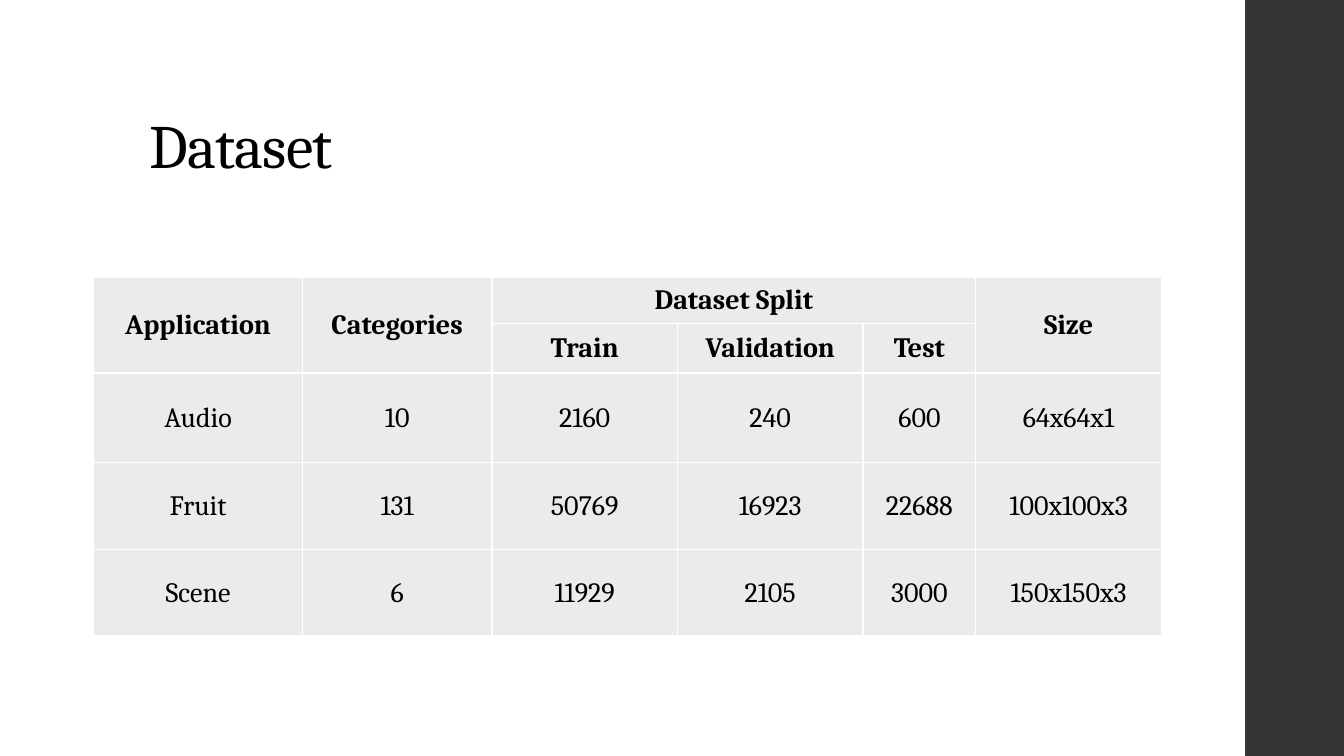
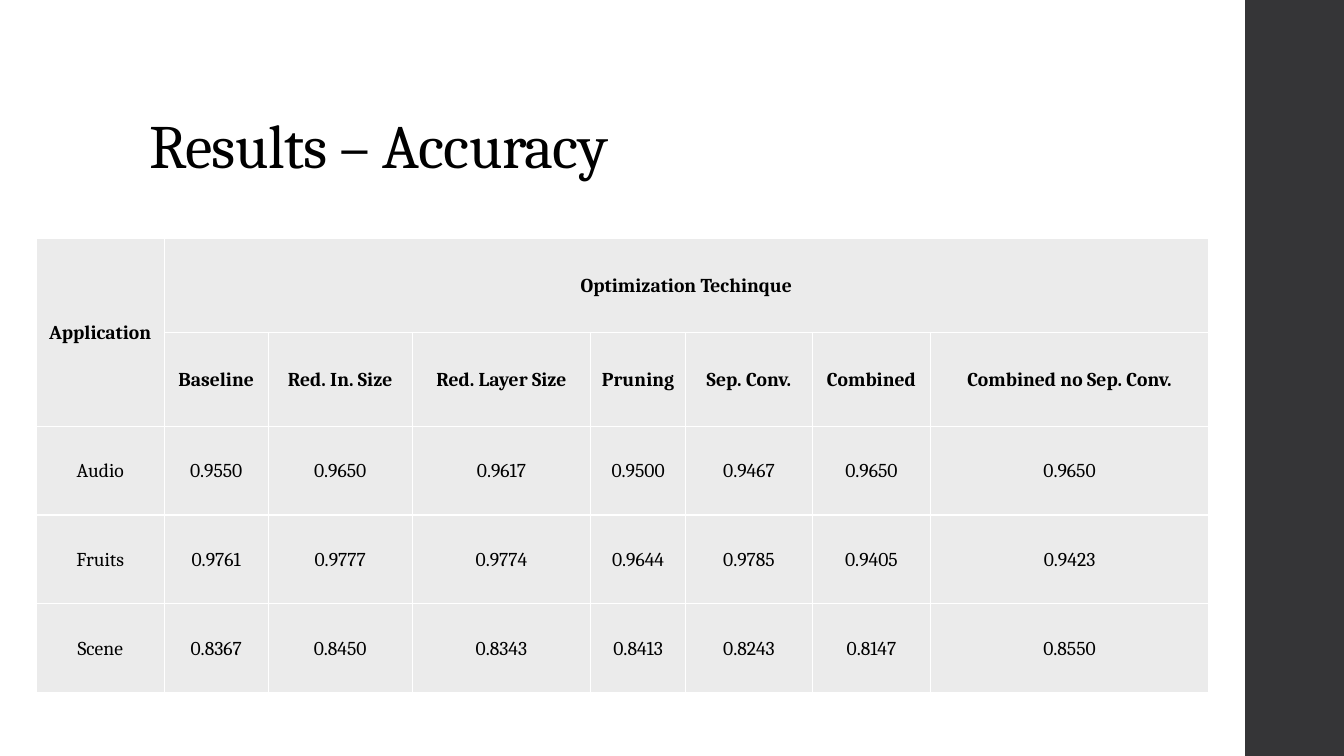
from lxml import etree
from pptx import Presentation
from pptx.dml.color import RGBColor
from pptx.enum.shapes import MSO_SHAPE
from pptx.enum.text import MSO_ANCHOR, MSO_AUTO_SIZE, PP_ALIGN
from pptx.oxml.ns import qn
from pptx.util import Inches, Pt

RECT = MSO_SHAPE.RECTANGLE
LEFT, CENTER = PP_ALIGN.LEFT, PP_ALIGN.CENTER
MIDDLE, BOTTOM = MSO_ANCHOR.MIDDLE, MSO_ANCHOR.BOTTOM
FIXED = MSO_AUTO_SIZE.NONE

BLACK = RGBColor(0x00, 0x00, 0x00)
WHITE = RGBColor(0xFF, 0xFF, 0xFF)
GRAY = RGBColor(0xEB, 0xEB, 0xEB)
DARK = RGBColor(0x35, 0x35, 0x37)

FONT = "Cambria"
WIDE, HIGH = 13.33, 7.5
BAND = 0.98
TITLE_ONLY = 5
HEAD_ROWS = 2

# Each span is first row, first column, last row, last column
DATASET = {
    "at": (0.93, 2.75),
    "size": 20,
    "cols": [2.07, 1.88, 1.84, 1.84, 1.12, 1.84],
    "rows": [0.46, 0.49, 0.89, 0.86, 0.86],
    "spans": [(0, 0, 1, 0), (0, 1, 1, 1), (0, 2, 0, 4), (0, 5, 1, 5)],
    "data": [
        ["Application", "Categories", "Dataset Split", "", "", "Size"],
        ["", "", "Train", "Validation", "Test", ""],
        ["Audio", "10", "2160", "240", "600", "64x64x1"],
        ["Fruit", "131", "50769", "16923", "22688", "100x100x3"],
        ["Scene", "6", "11929", "2105", "3000", "150x150x3"],
    ],
}
RESULTS = {
    "at": (0.36, 2.37),
    "size": 14,
    "cols": [1.27, 1.03, 1.43, 1.77, 0.94, 1.26, 1.17, 2.76],
    "rows": [0.93, 0.93, 0.88, 0.88, 0.88],
    "spans": [(0, 0, 1, 0), (0, 1, 0, 7)],
    "data": [
        ["Application", "Optimization Techinque", "", "", "", "", "", ""],
        ["", "Baseline", "Red. In. Size", "Red. Layer Size", "Pruning",
         "Sep. Conv.", "Combined", "Combined no Sep. Conv."],
        ["Audio", "0.9550", "0.9650", "0.9617", "0.9500", "0.9467", "0.9650", "0.9650"],
        ["Fruits", "0.9761", "0.9777", "0.9774", "0.9644", "0.9785", "0.9405", "0.9423"],
        ["Scene", "0.8367", "0.8450", "0.8343", "0.8413", "0.8243", "0.8147", "0.8550"],
    ],
}


def write(frame, text, size=20, bold=False, align=LEFT, line=1.0, track=0):
    """Put one formatted run in a text frame; track is in points."""
    para = frame.paragraphs[0]
    para.alignment, para.line_spacing = align, line
    run = para.add_run()
    run.text = text
    font = run.font
    font.name, font.size, font.bold = FONT, Pt(size), bold
    font.color.rgb = BLACK
    if track:
        run._r.get_or_add_rPr().set("spc", str(int(track * 100)))


def add_band(slide):
    band = slide.shapes.add_shape(
        RECT, Inches(WIDE - BAND), 0, Inches(BAND), Inches(HIGH))
    band.shadow.inherit = False
    band.fill.solid()
    band.fill.fore_color.rgb = DARK
    band.line.fill.background()


def set_title(slide, text):
    title = slide.shapes.title
    title.left, title.top = Inches(1.38), Inches(0.4)
    title.width, title.height = Inches(10.6), Inches(1.45)
    frame = title.text_frame
    frame.word_wrap, frame.auto_size = True, FIXED
    frame.vertical_anchor = BOTTOM
    write(frame, text, size=44, line=0.9, track=-0.5)


def add_rules(cell):
    """Draw a thin white line on all four sides of a cell."""
    props = cell._tc.get_or_add_tcPr()
    for side in ("a:lnL", "a:lnR", "a:lnT", "a:lnB"):
        rule = etree.SubElement(props, qn(side), w=str(Pt(1)))
        fill = etree.SubElement(rule, qn("a:solidFill"))
        etree.SubElement(fill, qn("a:srgbClr"), val=str(WHITE))


def style(cell, text, size, bold):
    add_rules(cell)
    cell.fill.solid()
    cell.fill.fore_color.rgb = GRAY
    cell.vertical_anchor = MIDDLE
    cell.margin_left = cell.margin_right = cell.margin_top = Inches(0.01)
    cell.margin_bottom = 0
    write(cell.text_frame, text, size=size, bold=bold, align=CENTER)


def add_grid(slide, at, size, cols, rows, spans, data):
    left, top = at
    table = slide.shapes.add_table(
        len(rows), len(cols), Inches(left), Inches(top),
        Inches(sum(cols)), Inches(sum(rows))).table
    for col, width in zip(table.columns, cols):
        col.width = Inches(width)
    for row, height in zip(table.rows, rows):
        row.height = Inches(height)
    for r, line in enumerate(data):
        for c, text in enumerate(line):
            style(table.cell(r, c), text, size, bold=r < HEAD_ROWS)
    # Join the heading cells
    for r, c, end_r, end_c in spans:
        table.cell(r, c).merge(table.cell(end_r, end_c))


def main():
    deck = Presentation()
    deck.slide_width, deck.slide_height = Inches(WIDE), Inches(HIGH)
    pages = [("Dataset", DATASET), ("Results – Accuracy", RESULTS)]
    for title, grid in pages:
        slide = deck.slides.add_slide(deck.slide_layouts[TITLE_ONLY])
        add_band(slide)
        set_title(slide, title)
        add_grid(slide, **grid)
    deck.save("out.pptx")


if __name__ == "__main__":
    main()
